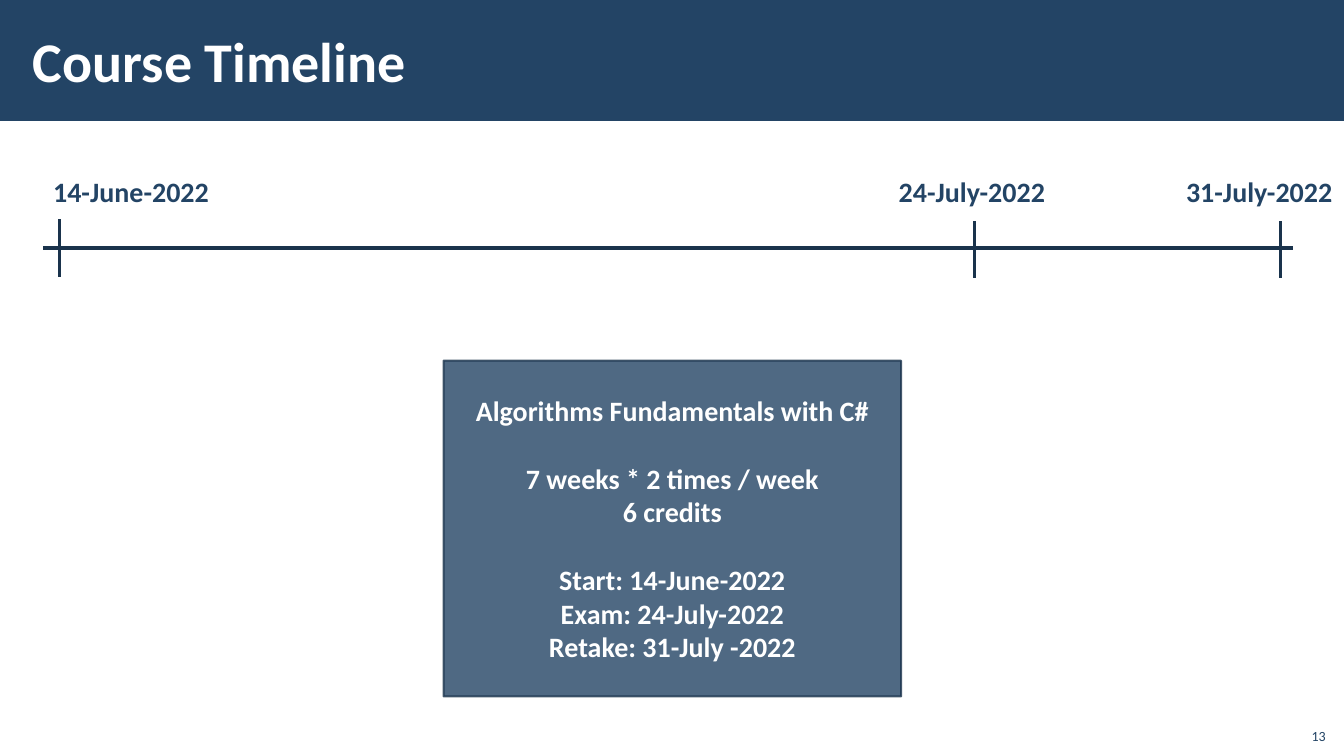
"""Build the course timeline slide."""
from lxml import etree
from pptx import Presentation
from pptx.dml.color import RGBColor
from pptx.enum.shapes import MSO_CONNECTOR, MSO_SHAPE
from pptx.enum.text import MSO_ANCHOR, MSO_AUTO_SIZE, PP_ALIGN
from pptx.oxml.ns import qn
from pptx.util import Cm, Pt

RECT = MSO_SHAPE.RECTANGLE
LINE = MSO_CONNECTOR.STRAIGHT
LEFT, MID, RIGHT = PP_ALIGN.LEFT, PP_ALIGN.CENTER, PP_ALIGN.RIGHT
TOP, CENTER, BASE = MSO_ANCHOR.TOP, MSO_ANCHOR.MIDDLE, MSO_ANCHOR.BOTTOM
NONE = MSO_AUTO_SIZE.NONE

NAVY, DARK, WHITE = "234465", "1A334C", "FFFFFF"
WIDTH, HEIGHT = 33.87, 19.05
TITLE = "Course Timeline"
NUMBER = "13"
AXIS = (1.09, 32.59, 6.25)
TICK = 1.44
DATES = [
    ("14-June-2022", 1.09, 4.47, 1.5, 5.53),
    ("24-July-2022", 22.4, 4.32, 24.56, 5.57),
    ("31-July-2022", 29.64, 4.22, 32.26, 5.57),
]
COURSE = [
    ["Algorithms Fundamentals with C#"],
    ["7 weeks * 2 times / week", "6 credits"],
    ["Start: 14-June-2022", "Exam: 24-July-2022", "Retake: 31-July -2022"],
]


def paint(color, code):
    """Set a colour from a hex string."""
    color.rgb = RGBColor.from_string(code)


def fade(fill, share):
    """Set the opacity of a solid fill element in percent."""
    alpha = etree.SubElement(fill.find(qn("a:srgbClr")), qn("a:alpha"))
    alpha.set("val", str(share * 1000))


def write(shape, lines, size, code, align=LEFT, anchor=TOP, bold=True):
    """Fill a shape with formatted lines."""
    frame = shape.text_frame
    frame.text = "\n".join(lines)
    frame.word_wrap = True
    frame.auto_size = NONE
    frame.vertical_anchor = anchor
    for para in frame.paragraphs:
        para.alignment = align
        for run in para.runs:
            run.font.name, run.font.size, run.font.bold = "Calibri", Pt(size), bold
            paint(run.font.color, code)
    return frame


def block(slide, x, y, w, h):
    """Add a plain navy rectangle."""
    shape = slide.shapes.add_shape(RECT, Cm(x), Cm(y), Cm(w), Cm(h))
    shape.shadow.inherit = False
    shape.fill.solid()
    paint(shape.fill.fore_color, NAVY)
    shape.line.fill.background()
    return shape


def label(slide, x, y, w, h, text, size, **style):
    """Add a navy text box."""
    box = slide.shapes.add_textbox(Cm(x), Cm(y), Cm(w), Cm(h))
    write(box, [text], size, NAVY, **style)


def stroke(slide, x1, y1, x2, y2):
    """Add a dark straight line."""
    line = slide.shapes.add_connector(LINE, Cm(x1), Cm(y1), Cm(x2), Cm(y2))
    line.line.width = Pt(2.25)
    paint(line.line.color, DARK)
    etree.SubElement(line._element.spPr, qn("a:effectLst"))


def head(slide):
    """Add the title on its band."""
    band = block(slide, 0, 0, WIDTH, 3.05)
    slide.shapes._spTree.insert(2, band._element)
    title = slide.shapes.title
    title.left, title.top = Cm(0.53), Cm(0.28)
    title.width, title.height = Cm(26.39), Cm(2.46)
    frame = write(title, [TITLE], 40, WHITE, anchor=CENTER)
    frame.margin_left = frame.margin_right = Cm(0.3)
    frame.margin_top = frame.margin_bottom = Cm(0.1)


def course(slide):
    """Add the course card with a gap before each later group."""
    card = block(slide, 11.18, 9.09, 11.53, 8.46)
    fade(card._element.spPr.find(qn("a:solidFill")), 80)
    card.line.width = Pt(1.5)
    paint(card.line.color, DARK)
    fade(card._element.spPr.find(qn("a:ln")).find(qn("a:solidFill")), 80)
    lines = [line for group in COURSE for line in group]
    frame = write(card, lines, 20, WHITE, align=MID, anchor=CENTER)
    starts = [group[0] for group in COURSE[1:]]
    for para in frame.paragraphs:
        if para.text in starts:
            para.space_before = Pt(24.4)


def main():
    """Draw and save the slide."""
    deck = Presentation()
    deck.slide_width, deck.slide_height = Cm(WIDTH), Cm(HEIGHT)
    slide = deck.slides.add_slide(deck.slide_layouts[5])
    head(slide)
    left, right, y = AXIS
    stroke(slide, left, y, right, y)
    for date, x, w, mark, top in DATES:
        stroke(slide, mark, top, mark, top + TICK)
        label(slide, x, 4.27, w, 1.12, date, 20)
    course(slide)
    label(slide, 32.64, 18.08, 1.02, 0.81, NUMBER, 10,
          align=RIGHT, anchor=BASE, bold=False)
    deck.save("out.pptx")


if __name__ == "__main__":
    main()
